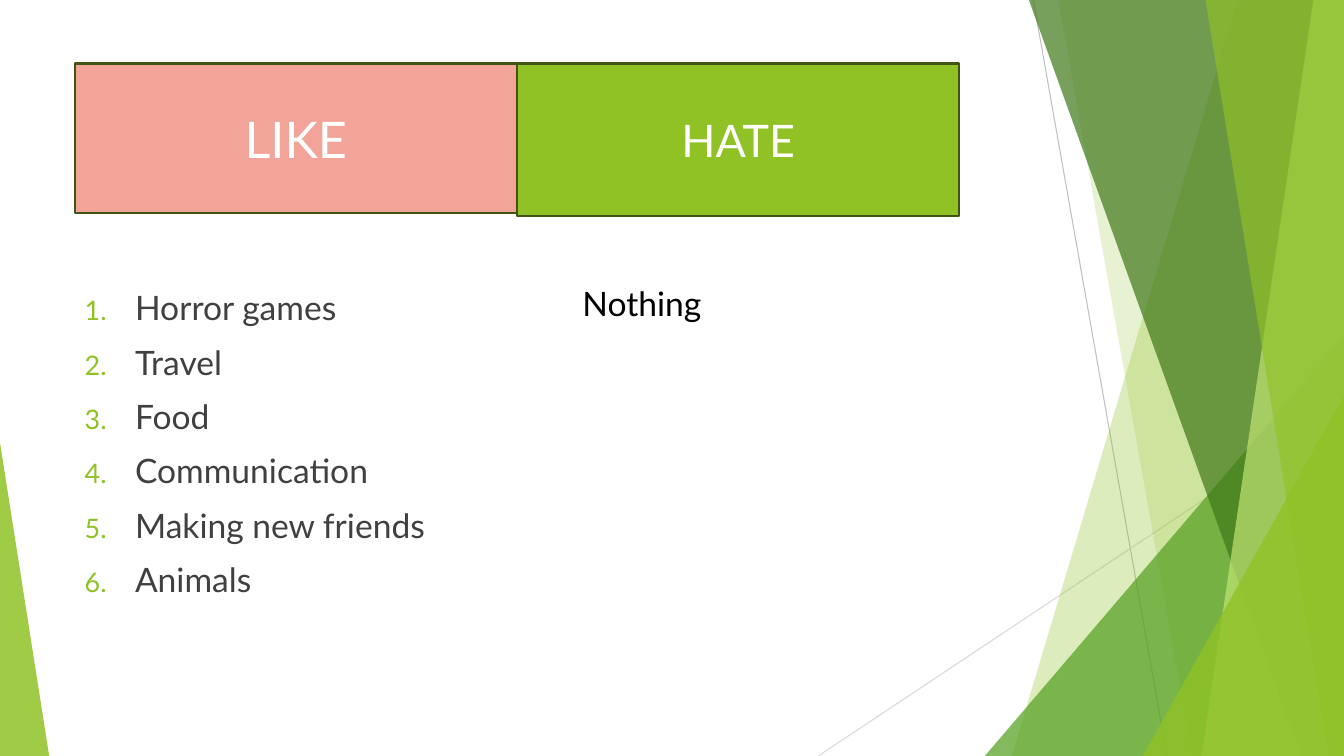
from lxml.etree import SubElement
from pptx import Presentation
from pptx.dml.color import RGBColor
from pptx.enum.shapes import MSO_CONNECTOR, MSO_SHAPE
from pptx.enum.text import MSO_ANCHOR, MSO_AUTO_SIZE, PP_ALIGN
from pptx.oxml.ns import qn
from pptx.util import Cm, Pt

WIDTH, HEIGHT = 33.87, 19.05
FONT = "Lato"
COLOURS = {
    "lime": "90C226", "green": "54A021", "forest": "3F7819", "pale": "C0E474",
    "pink": "F2A499", "outline": "3F5511", "grey": "BFBFBF", "light grey": "D9D9D9",
    "text": "404040", "black": "000000", "white": "FFFFFF",
}


def colour(name):
    """Return the named colour."""
    return RGBColor.from_string(COLOURS[name])


class FacetSlide:
    """Holds the current slide and draws elements in the facet style."""

    def __init__(self, slide):
        """Keep the slide to draw on."""
        self.slide = slide

    def line(self, start, end, colour_name):
        """Draw a thin line without a shadow."""
        connector = self.slide.shapes.add_connector(
            MSO_CONNECTOR.STRAIGHT, *map(Cm, start + end))
        connector.line.color.rgb = colour(colour_name)
        connector.line.width = Pt(0.75)
        SubElement(connector._element.spPr, qn("a:effectLst"))

    def glaze(self, shape, colour_name, opacity):
        """Fill a shape with a see-through colour and no outline."""
        shape.shadow.inherit = False
        shape.line.fill.background()
        shape.fill.solid()
        shape.fill.fore_color.rgb = colour(colour_name)
        colour_element = shape._element.spPr.find(".//" + qn("a:srgbClr"))
        SubElement(colour_element, qn("a:alpha"), val=str(opacity * 1000))

    def facet(self, top_x, bottom_x, colour_name, opacity):
        """Fill from a slanted edge to the right side of the slide."""
        builder = self.slide.shapes.build_freeform(Cm(top_x), 0)
        corners = [(WIDTH, 0), (WIDTH, HEIGHT), (bottom_x, HEIGHT)]
        builder.add_line_segments([(Cm(x), Cm(y)) for x, y in corners])
        self.glaze(builder.convert_to_shape(), colour_name, opacity)

    def corner(self, left, top, right, apex, colour_name, opacity):
        """Draw a right triangle standing on the bottom of the slide."""
        shape = self.slide.shapes.add_shape(
            MSO_SHAPE.ISOSCELES_TRIANGLE,
            Cm(left), Cm(top), Cm(right - left), Cm(HEIGHT - top))
        shape.adjustments[0] = apex
        self.glaze(shape, colour_name, opacity)

    def format_runs(self, paragraph, size, colour_name):
        """Set the font of all runs in a paragraph."""
        for run in paragraph.runs:
            run.font.name = FONT
            run.font.size = Pt(size)
            run.font.color.rgb = colour(colour_name)

    def heading(self, text, left, height, size, colour_name):
        """Draw an outlined heading box."""
        shape = self.slide.shapes.add_shape(
            MSO_SHAPE.RECTANGLE, Cm(left), Cm(1.6), Cm(11.15), Cm(height))
        shape.shadow.inherit = False
        shape.fill.solid()
        shape.fill.fore_color.rgb = colour(colour_name)
        shape.line.color.rgb = colour("outline")
        shape.line.width = Pt(1.5)
        shape.text_frame.text = text
        shape.text_frame.vertical_anchor = MSO_ANCHOR.MIDDLE
        paragraph = shape.text_frame.paragraphs[0]
        paragraph.alignment = PP_ALIGN.CENTER
        self.format_runs(paragraph, size, "white")

    def numbered_list(self, items, left, top, width, height):
        """Fill the body placeholder with numbered items."""
        body = self.slide.placeholders[1]
        body.left, body.top, body.width, body.height = map(Cm, (left, top, width, height))
        body.text_frame.text = "\n".join(items)
        body.text_frame.auto_size = MSO_AUTO_SIZE.NONE
        for index, paragraph in enumerate(body.text_frame.paragraphs):
            paragraph.space_before = Pt(10 if index else 0)
            properties = paragraph._p.get_or_add_pPr()
            properties.set("marL", str(Cm(1.27)))
            properties.set("indent", str(Cm(-1.27)))
            bullet_colour = SubElement(properties, qn("a:buClr"))
            SubElement(bullet_colour, qn("a:srgbClr"), val=COLOURS["lime"])
            SubElement(properties, qn("a:buSzPct"), val="80000")
            SubElement(properties, qn("a:buFont"), typeface="+mj-lt")
            SubElement(properties, qn("a:buAutoNum"), type="arabicPeriod")
            self.format_runs(paragraph, 24, "text")

    def note(self, text, left, top, width, height):
        """Add a plain text box."""
        box = self.slide.shapes.add_textbox(*map(Cm, (left, top, width, height)))
        box.text_frame.text = text
        box.text_frame.word_wrap = True
        box.text_frame.auto_size = MSO_AUTO_SIZE.SHAPE_TO_FIT_TEXT
        self.format_runs(box.text_frame.paragraphs[0], 24, "black")


def main():
    """Build and save the slide."""
    presentation = Presentation()
    presentation.slide_width, presentation.slide_height = Cm(WIDTH), Cm(HEIGHT)
    slide = presentation.slides.add_slide(presentation.slide_layouts[1])
    title = slide.shapes.title._element
    title.getparent().remove(title)

    page = FacetSlide(slide)
    page.line((26.04, 0), (29.41, HEIGHT), "grey")
    page.line((WIDTH, 10.24), (20.62, HEIGHT), "light grey")
    page.facet(31.19, 25.5, "lime", 30)
    page.facet(26.67, 30.05, "lime", 20)
    page.corner(24.82, 8.46, WIDTH, 1, "green", 72)
    page.facet(25.93, 32.79, "forest", 70)
    page.facet(33.1, 30.28, "pale", 70)
    page.facet(30.38, 33.48, "lime", 65)
    page.corner(28.8, 9.98, WIDTH, 1, "lime", 80)
    page.corner(0, 11.15, 1.24, 0, "lime", 85)

    likes = ["Horror games", "Travel", "Food", "Communication",
             "Making new friends", "Animals"]
    page.numbered_list(likes, 1.88, 7.11, 11.15, 11.33)
    page.heading("LIKE", 1.88, 3.76, 36, "pink")
    page.heading("HATE", 13.03, 3.84, 32, "lime")
    page.note("Nothing", 14.43, 7.01, 5.08, 1.27)
    presentation.save("out.pptx")


if __name__ == "__main__":
    main()
